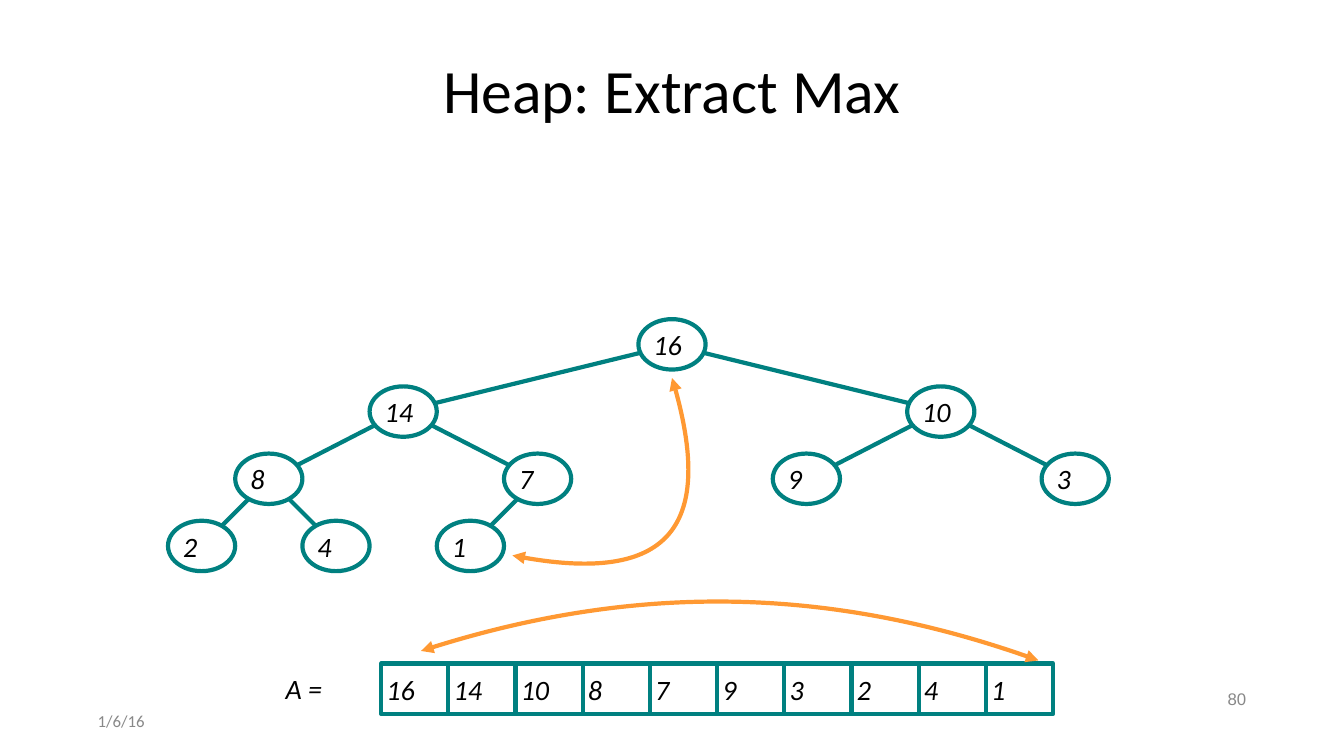
from dataclasses import dataclass
from math import hypot

from lxml import etree
from pptx import Presentation
from pptx.dml.color import RGBColor
from pptx.enum.shapes import MSO_CONNECTOR, MSO_SHAPE
from pptx.enum.text import MSO_ANCHOR, MSO_AUTO_SIZE, PP_ALIGN
from pptx.oxml.ns import qn
from pptx.util import Pt

PX = 9525
LEFT, CENTER, RIGHT = PP_ALIGN.LEFT, PP_ALIGN.CENTER, PP_ALIGN.RIGHT
MIDDLE, NO_FIT = MSO_ANCHOR.MIDDLE, MSO_AUTO_SIZE.NONE
OVAL, RECT, STRAIGHT = MSO_SHAPE.OVAL, MSO_SHAPE.RECTANGLE, MSO_CONNECTOR.STRAIGHT

HEAP = [16, 14, 10, 8, 7, 9, 3, 2, 4, 1]
NODE_W, NODE_H = 64, 48
ROOT_X, ROOT_Y, LEVEL_GAP = 640, 328, 64
ARRAY_X, ARRAY_Y = 363, 632


@dataclass(frozen=True)
class Theme:
    text: RGBColor = RGBColor(0, 0, 0)
    muted: RGBColor = RGBColor(0x88, 0x88, 0x88)
    fill: RGBColor = RGBColor(0xFF, 0xFF, 0xFF)
    outline: RGBColor = RGBColor(0x00, 0x80, 0x80)
    swap: RGBColor = RGBColor(0xFF, 0x99, 0x33)
    font: str = "Calibri"
    number_font: str = "Arial"
    title_size: int = 44
    value_size: int = 20
    footer_size: int = 12
    line_width: int = 3
    inset: int = 5


class HeapSlide:
    def __init__(self, prs, theme):
        self.theme = theme
        self.slide = prs.slides.add_slide(prs.slide_layouts[5])

    def set_text(self, sp, text, size, color, align=LEFT, font=None,
                 italic=False, wrap=True, spacing=None):
        tf = sp.text_frame
        tf.auto_size = NO_FIT
        tf.word_wrap = wrap
        tf.vertical_anchor = MIDDLE
        tf.margin_left = tf.margin_right = self.theme.inset * PX
        tf.margin_top = tf.margin_bottom = self.theme.inset * PX
        p = tf.paragraphs[0]
        p.text = text
        p.alignment = align
        p.line_spacing = spacing
        p.font.name = font or self.theme.font
        p.font.size = Pt(size)
        p.font.color.rgb = color
        p.font.italic = italic

    def stroke(self, sp, color):
        sp.line.color.rgb = color
        sp.line.width = Pt(self.theme.line_width)

    def title(self, text, x, y, w, h):
        sp = self.slide.shapes.title
        sp.left, sp.top, sp.width, sp.height = (v * PX for v in (x, y, w, h))
        self.set_text(sp, text, self.theme.title_size, self.theme.text, CENTER, spacing=0.9)

    def label(self, text, x, y, w, h, size, color, **style):
        sp = self.slide.shapes.add_textbox(x * PX, y * PX, w * PX, h * PX)
        self.set_text(sp, text, size, color, **style)

    def box(self, kind, value, x, y):
        sp = self.slide.shapes.add_shape(kind, x * PX, y * PX, NODE_W * PX, NODE_H * PX)
        sp.shadow.inherit = False
        sp.fill.solid()
        sp.fill.fore_color.rgb = self.theme.fill
        self.stroke(sp, self.theme.outline)
        self.set_text(sp, str(value), self.theme.value_size, self.theme.text, italic=True)

    def edge(self, parent, child):
        (x1, y1), (x2, y2) = parent, child
        dx, dy = x2 - x1, y2 - y1
        reach = 1 / hypot(dx / (NODE_W / 2), dy / (NODE_H / 2))
        ox, oy = round(dx * reach), round(dy * reach)
        cxn = self.slide.shapes.add_connector(
            STRAIGHT, (x1 + ox) * PX, (y1 + oy) * PX, (x2 - ox) * PX, (y2 - oy) * PX)
        self.stroke(cxn, self.theme.outline)
        etree.SubElement(cxn._element.spPr, qn("a:effectLst"))

    def swap_arrow(self, start, control1, control2, end, extent):
        fb = self.slide.shapes.build_freeform(*start, scale=PX)
        fb.add_line_segments([extent, end], close=False)
        sp = fb.convert_to_shape()
        sp.shadow.inherit = False
        sp.fill.background()
        self.stroke(sp, self.theme.swap)
        left, top = (min(axis) for axis in zip(start, extent, end))
        outline = next(sp._element.iter(qn("a:path")))
        for segment in outline.findall(qn("a:lnTo")):
            outline.remove(segment)
        curve = etree.SubElement(outline, qn("a:cubicBezTo"))
        for x, y in (control1, control2, end):
            etree.SubElement(curve, qn("a:pt"), x=str(x - left), y=str(y - top))
        ln = sp._element.spPr.find(qn("a:ln"))
        for tag in ("a:headEnd", "a:tailEnd"):
            etree.SubElement(ln, qn(tag), type="triangle")


def node_center(index):
    level = (index + 1).bit_length() - 1
    place = index + 1 - 2 ** level
    step = 1024 // 2 ** level
    return ROOT_X - 512 + step // 2 + place * step, ROOT_Y + level * LEVEL_GAP


def main():
    prs = Presentation()
    prs.slide_width, prs.slide_height = 1280 * PX, 720 * PX
    theme = Theme()
    s = HeapSlide(prs, theme)

    s.label("1/6/16", 88, 672, 288, 28, theme.footer_size, theme.muted)
    s.label("80", 904, 653, 288, 28, theme.footer_size, theme.muted,
            align=RIGHT, font=theme.number_font, spacing=0.9)
    s.title("Heap: Extract Max", 88, 38, 1104, 103)

    centers = [node_center(i) for i in range(len(HEAP))]
    for value, (x, y) in zip(HEAP, centers):
        s.box(OVAL, value, x - NODE_W // 2, y - NODE_H // 2)
    for i in range(1, len(HEAP)):
        s.edge(centers[(i - 1) // 2], centers[i])

    for i, value in enumerate(HEAP):
        s.box(RECT, value, ARRAY_X + i * NODE_W, ARRAY_Y)
    s.label("A =", 267, 635, 46, 41, theme.value_size, theme.text,
            italic=True, wrap=False)

    s.swap_arrow((640, 360), (683, 501), (632, 558), (488, 529), extent=(655, 536))
    s.swap_arrow((401, 620), (600, 555), (796, 559), (989, 629), extent=(695, 574))

    prs.save("out.pptx")


if __name__ == "__main__":
    main()
